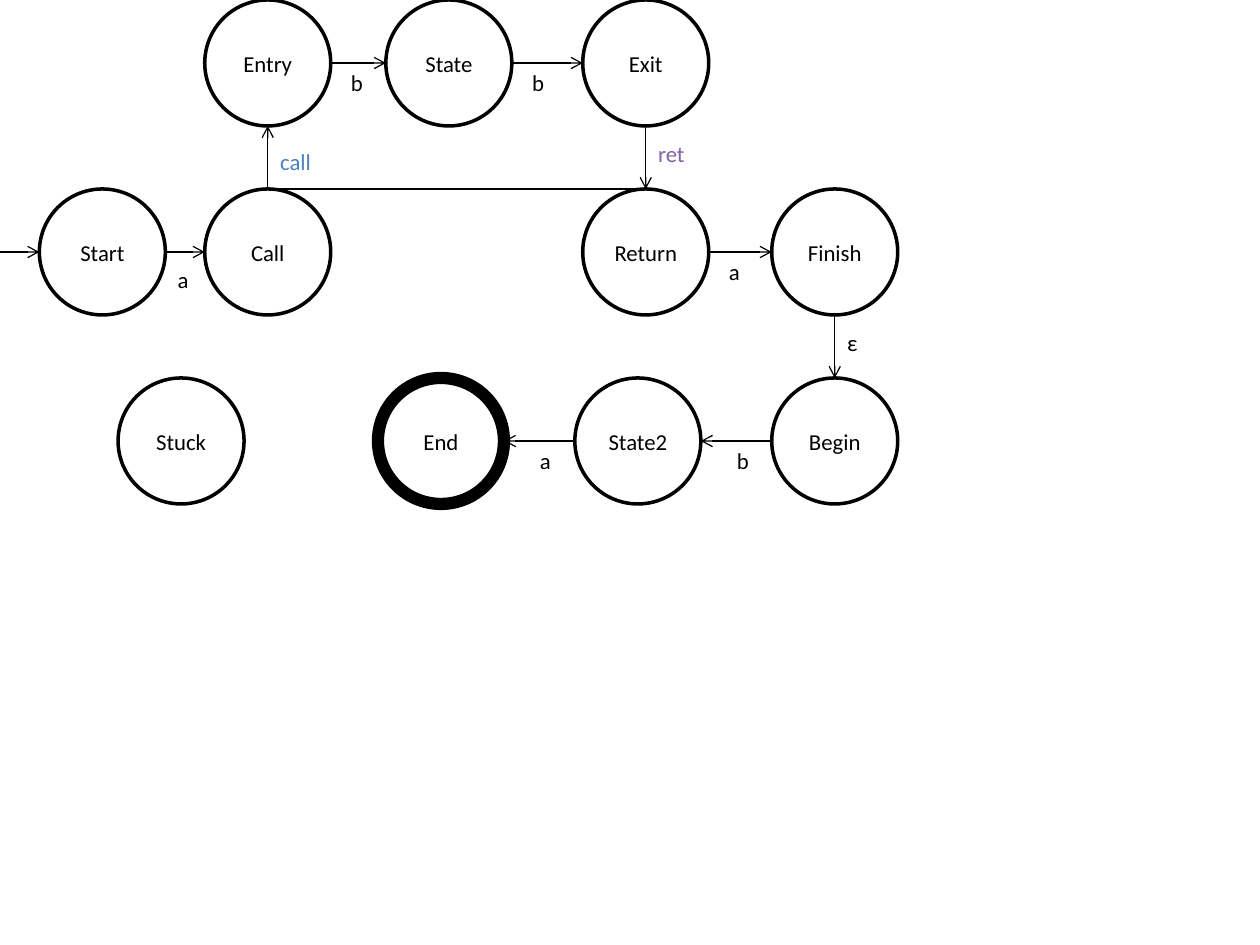
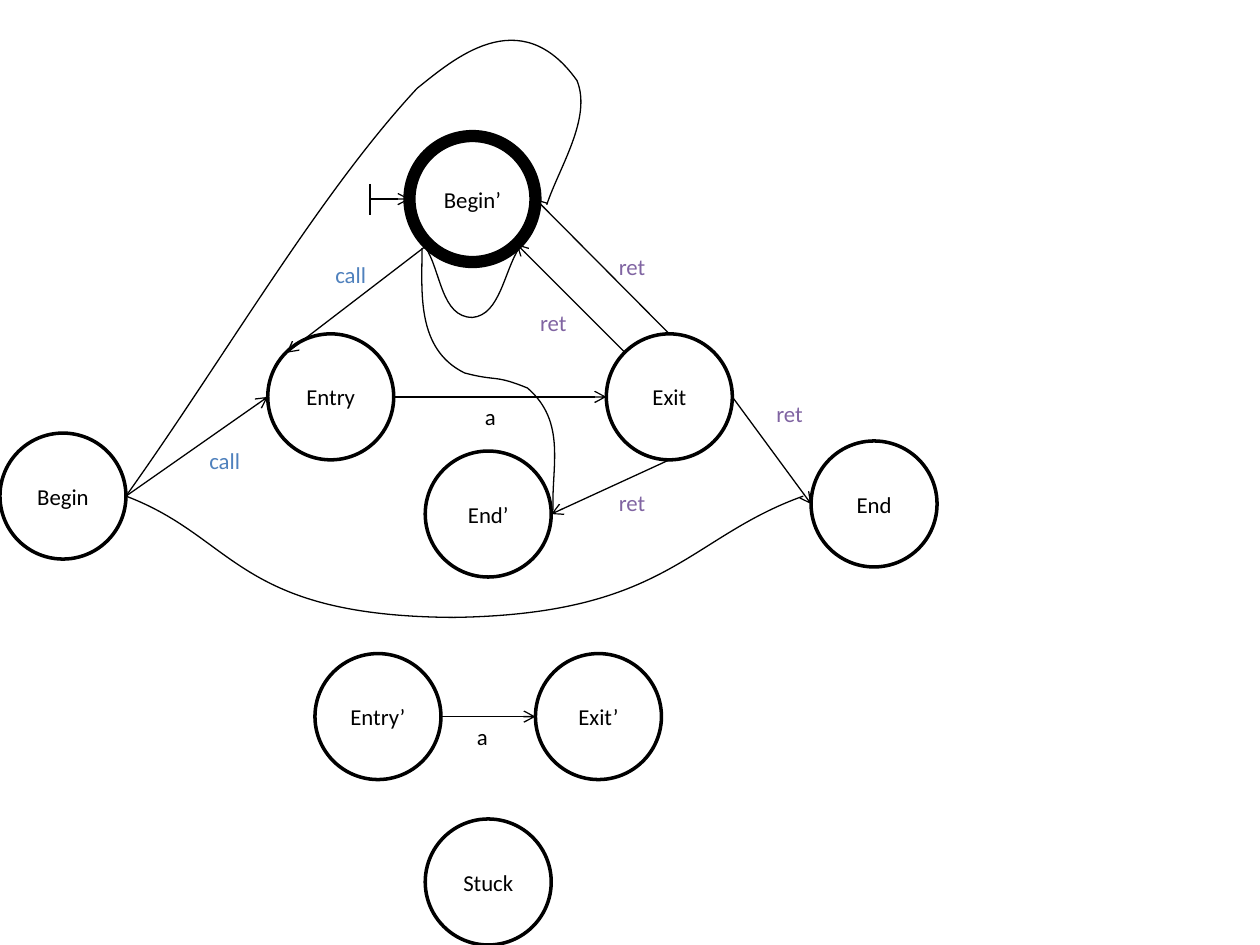
"""Two state diagrams of nested call/return automata."""
from lxml import etree
from pptx import Presentation
from pptx import util as u
from pptx.dml.color import RGBColor
from pptx.enum import shapes, text
from pptx.oxml import ns

COLOURS = {"ink": "000000", "paper": "FFFFFF", "call": "4F81BD", "ret": "8064A2"}
LABEL_WIDTHS = {"call": 0.45, "ret": 0.41}
FONT, FONT_SIZE = "Calibri", 13
NODE_CM = 2.54  # diameter of a state, the unit of every position below
GRID = 16  # grid steps per diameter
LINE, RING, ACCEPTING_RING = 0.75, 2, 7
DIAGONAL = 0.35  # offset of a diagonal docking point from the centre

# Docking points of a state, relative to its centre
SIDES = {
    "top": (0, -0.5), "bottom": (0, 0.5), "left": (-0.5, 0), "right": (0.5, 0),
    "top left": (-DIAGONAL, -DIAGONAL),
    "bottom left": (-DIAGONAL, DIAGONAL), "bottom right": (DIAGONAL, DIAGONAL),
}

# Sequential automaton: top-left corners of the states, by row
UPPER, MIDDLE, LOWER = 0, 1.5, 3
SEQUENCE_STATES = {
    "Start": (0.31, MIDDLE), "Call": (1.62, MIDDLE), "Entry": (1.62, UPPER),
    "Exit": (4.62, UPPER), "Return": (4.62, MIDDLE), "State": (3.06, UPPER),
    "Begin": (6.12, LOWER), "State2": (4.56, LOWER), "End": (3, LOWER),
    "Stuck": (0.94, LOWER), "Finish": (6.12, MIDDLE),
}
SEQUENCE_MOVES = [
    ("Start", "right", "Call", "left"),
    ("Call", "top", "Entry", "bottom"),
    ("Entry", "right", "State", "left"),
    ("Exit", "bottom", "Return", "top"),
    ("Return", "right", "Finish", "left"),
    ("State", "right", "Exit", "left"),
    ("Finish", "bottom", "Begin", "top"),
    ("Begin", "left", "State2", "right"),
    ("State2", "left", "End", "right"),
]
SEQUENCE_LABELS = [
    ("a", 1.31, 2.06), ("call", 2.12, 1.12), ("b", 2.69, 0.5), ("ret", 5.12, 1.06),
    ("a", 5.69, 2), ("b", 4.12, 0.5), ("b", 5.75, 3.5), ("a", 4.19, 3.5),
    ("ε", 6.62, 2.56),
]

# Recursive automaton
RECURSION_STATES = {
    "Begin": (0, 3.44), "Exit": (4.81, 2.65), "Stuck": (3.38, 6.5),
    "Entry": (2.12, 2.65), "Begin’": (3.25, 1.08), "End": (6.44, 3.5),
    "Entry’": (2.5, 5.19), "Exit’": (4.25, 5.19), "End’": (3.38, 3.58),
}
RECURSION_MOVES = [
    ("Begin", "right", "Entry", "left"),
    ("Exit", "right", "End", "left"),
    ("Entry", "right", "Exit", "left"),
    ("Begin’", "bottom left", "Entry", "top left"),
    ("Entry’", "right", "Exit’", "left"),
    ("Exit", "bottom", "End’", "right"),
    ("Exit", "top left", "Begin’", "bottom right"),
    ("Exit", "top", "Begin’", "right"),
]
RECURSION_LABELS = [
    ("call", 1.56, 3.5), ("a", 3.75, 3.15), ("ret", 6.06, 3.12), ("call", 2.56, 2.02),
    ("a", 3.69, 5.69), ("ret", 4.81, 3.83), ("ret", 4.19, 2.4), ("ret", 4.81, 1.96),
]
# Call-to-return edges: a start point, then two handles and an end per Bezier piece
NESTING_EDGES = [
    [(1, 3.94), (1.87, 4.27), (1.88, 4.89), (3.6, 4.9),
     (5.3, 4.88), (5.45, 4.27), (6.38, 3.94)],
    [(3.38, 1.96), (3.5, 2.15), (3.5, 2.52), (3.74, 2.52),
     (3.97, 2.51), (4, 2.15), (4.12, 1.96)],
    [(1, 3.94), (1.77, 2.86), (2.53, 1.54), (3.31, 0.7),
     (3.59, 0.48), (4.13, 0), (4.58, 0.64), (4.7, 0.93), (4.44, 1.33), (4.34, 1.62)],
    [(3.35, 1.97), (3.35, 2.32), (3.3, 2.77), (3.69, 2.96),
     (3.95, 3.03), (3.92, 2.97), (4.19, 3.08), (4.51, 3.35), (4.38, 3.71), (4.39, 4.05)],
]


def snap(value):
    """Move a rounded position onto the grid if it lies next to it."""
    nearest = round(value * GRID) / GRID
    return nearest if abs(nearest - value) < 0.01 else value


def units(*values):
    """Turn node diameters into lengths."""
    return [u.Cm(NODE_CM * value) for value in values]


def places(*values):
    """Turn positions in node diameters into lengths, on the grid."""
    return units(*map(snap, values))


def colour(name):
    """Look up a colour by its role."""
    return RGBColor.from_string(COLOURS[name])


def draw_line(line, width):
    """Give an outline the ink colour and a width in points."""
    line.color.rgb = colour("ink")
    line.width = u.Pt(width)


def add_run(frame, wording, role="ink"):
    """Write one run into the first paragraph and return the paragraph."""
    paragraph = frame.paragraphs[0]
    run = paragraph.add_run()
    run.text = wording
    run.font.name, run.font.size = FONT, u.Pt(FONT_SIZE)
    run.font.color.rgb = colour(role)
    return paragraph


def add_state(slide, name, corner, accepting):
    """Draw a named state, with a heavy ring if it accepts."""
    state = slide.shapes.add_shape(
        shapes.MSO_SHAPE.FLOWCHART_CONNECTOR, *places(*corner), *units(1, 1))
    state.shadow.inherit = False
    state.fill.solid()
    state.fill.fore_color.rgb = colour("paper")
    draw_line(state.line, ACCEPTING_RING if accepting else RING)
    frame = state.text_frame
    frame.margin_left = frame.margin_right = 0
    frame.vertical_anchor = text.MSO_ANCHOR.MIDDLE
    add_run(frame, name).alignment = text.PP_ALIGN.CENTER


def add_edge(slide, start, end, arrow=True):
    """Draw a straight edge, with an open arrowhead unless told otherwise."""
    edge = slide.shapes.add_connector(
        shapes.MSO_CONNECTOR.STRAIGHT, *places(*start, *end))
    draw_line(edge.line, LINE)
    if arrow:
        outline = edge.line._get_or_add_ln()
        etree.SubElement(outline, ns.qn("a:tailEnd"), type="arrow")
    etree.SubElement(edge._element.spPr, ns.qn("a:effectLst"))


def add_label(slide, wording, left, top):
    """Write the symbol of an edge; calls and returns have their own colour."""
    width = LABEL_WIDTHS.get(wording, 0.3)
    label = slide.shapes.add_textbox(*places(left, top), *units(width, 0.32))
    frame = label.text_frame
    frame.word_wrap = False
    frame.auto_size = text.MSO_AUTO_SIZE.SHAPE_TO_FIT_TEXT
    add_run(frame, wording, wording if wording in COLOURS else "ink")


def add_curve(slide, points):
    """Draw an open curve through joined Bezier pieces."""
    start, *rest = [places(*point) for point in points]
    builder = slide.shapes.build_freeform(*start)
    builder.add_line_segments(rest, close=False)
    curve = builder.convert_to_shape()
    curve.shadow.inherit = False
    curve.fill.background()
    draw_line(curve.line, LINE)
    # Every three straight segments become the handles and end of one Bezier piece
    segments = list(curve._element.iter(ns.qn("a:lnTo")))
    for first in range(0, len(segments), 3):
        piece = etree.SubElement(segments[first].getparent(), ns.qn("a:cubicBezTo"))
        for segment in segments[first:first + 3]:
            piece.append(segment[0])
            segment.getparent().remove(segment)


def dock(corner, side):
    """Find the point where an edge meets a state."""
    return tuple(snap(c) + 0.5 + offset for c, offset in zip(corner, SIDES[side]))


def add_automaton(deck, states, moves, labels, accepting):
    """Add a slide with states, the moves between them and their symbols."""
    slide = deck.slides.add_slide(deck.slide_layouts[6])
    for name, corner in states.items():
        add_state(slide, name, corner, name == accepting)
    for source, leaving, target, entering in moves:
        add_edge(slide, dock(states[source], leaving), dock(states[target], entering))
    for label in labels:
        add_label(slide, *label)
    return slide


def main():
    """Build both automata and save the deck."""
    deck = Presentation()
    deck.slide_width, deck.slide_height = u.Cm(25.4), u.Cm(19.05)

    sequence = add_automaton(
        deck, SEQUENCE_STATES, SEQUENCE_MOVES, SEQUENCE_LABELS, "End")
    add_edge(sequence, (0, 2), dock(SEQUENCE_STATES["Start"], "left"))
    add_edge(sequence, dock(SEQUENCE_STATES["Call"], "top"),
             dock(SEQUENCE_STATES["Return"], "top"), arrow=False)

    recursion = add_automaton(
        deck, RECURSION_STATES, RECURSION_MOVES, RECURSION_LABELS, "Begin’")
    add_edge(recursion, (2.94, 1.58), dock(RECURSION_STATES["Begin’"], "left"))
    add_edge(recursion, (2.94, 1.46), (2.94, 1.71), arrow=False)
    for points in NESTING_EDGES:
        add_curve(recursion, points)

    deck.save("out.pptx")


main()
